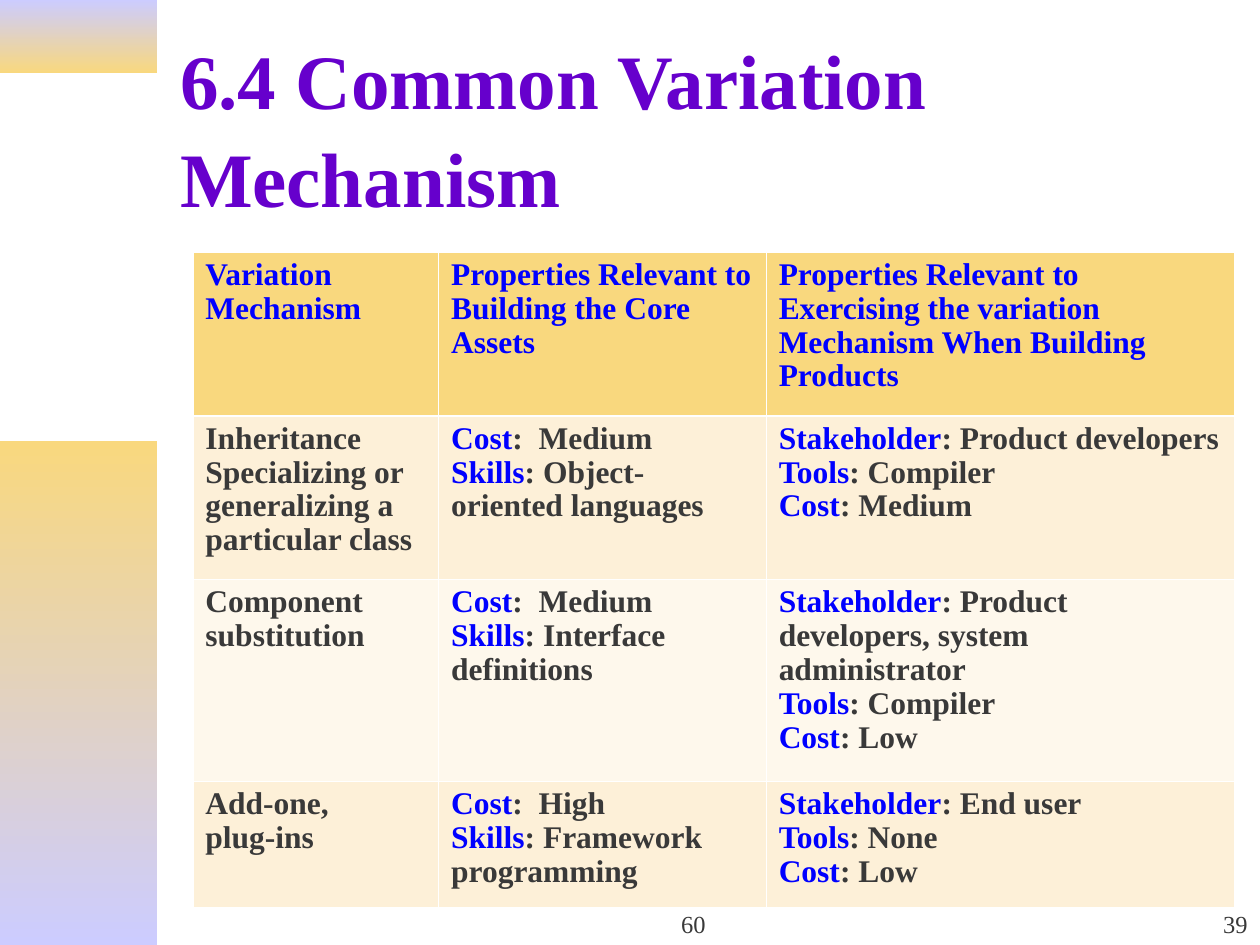
"""Build the slide on common variation mechanisms."""
from lxml import etree
from pptx import Presentation
from pptx.dml.color import RGBColor
from pptx.enum import shapes, text
from pptx.oxml import ns
from pptx.util import Pt

FONT = "Times New Roman"
PURPLE = RGBColor(0x66, 0x00, 0xCC)
BLUE = RGBColor(0x00, 0x00, 0xFF)
GRAY = RGBColor(0x39, 0x39, 0x39)
GOLD = RGBColor(0xF9, 0xD8, 0x7E)
LILAC = RGBColor(0xCC, 0xCC, 0xFF)
CREAM = RGBColor(0xFD, 0xF0, 0xD8)
PALE = RGBColor(0xFE, 0xF8, 0xEC)
WHITE = RGBColor(0xFF, 0xFF, 0xFF)

COLS = (140.4, 187.2, 267.8)
HEIGHTS = (93.6, 93.6, 115.2, 72)
FILLS = (GOLD, CREAM, PALE, CREAM)
ROWS = (
    ("Variation Mechanism",
     "Properties Relevant to Building the Core Assets",
     "Properties Relevant to Exercising the variation Mechanism "
     "When Building Products"),
    ("Inheritance\nSpecializing or generalizing a particular class",
     "Cost:  Medium\nSkills: Object-oriented languages",
     "Stakeholder: Product developers\nTools: Compiler\nCost: Medium"),
    ("Component substitution",
     "Cost:  Medium\nSkills: Interface definitions",
     "Stakeholder: Product developers, system administrator\n"
     "Tools: Compiler\nCost: Low"),
    ("Add-one,\nplug-ins",
     "Cost:  High\nSkills: Framework programming",
     "Stakeholder: End user\nTools: None\nCost: Low"),
)


def style(run, size, color, bold=False):
    """Set the font of a run."""
    font = run.font
    font.name, font.size, font.bold = FONT, Pt(size), bold
    font.color.rgb = color


def add_band(slide, top, height, first, last):
    """Add a side band that fades downwards."""
    band = slide.shapes.add_shape(
        shapes.MSO_SHAPE.RECTANGLE, 0, Pt(top), Pt(90), Pt(height))
    band.shadow.inherit = False
    band.line.fill.background()
    band.fill.gradient()
    band.fill.gradient_angle = 270
    for stop, color, place in zip(band.fill.gradient_stops, (first, last), (0, 1)):
        stop.color.rgb = color
        stop.position = place


def add_text(slide, words, area, size, color, align, anchor, bold=False):
    """Add a text box with one paragraph and return the paragraph."""
    frame = slide.shapes.add_textbox(*map(Pt, area)).text_frame
    frame.word_wrap = True
    frame.vertical_anchor = anchor
    frame.text = words
    para = frame.paragraphs[0]
    para.alignment = align
    style(para.runs[0], size, color, bold)
    return para


def set_edges(cell, foot, head):
    """Draw the white borders of a cell."""
    props = cell._tc.get_or_add_tcPr()
    for side, width in (("L", 0.45), ("R", 0.45), ("T", head), ("B", foot)):
        line = etree.SubElement(props, ns.qn(f"a:ln{side}"), w=str(Pt(width)))
        fill = etree.SubElement(line, ns.qn("a:solidFill"))
        etree.SubElement(fill, ns.qn("a:srgbClr"), val=str(WHITE))


def fill_cell(cell, words, color):
    """Write a cell, with any label before a colon in blue."""
    cell.text_frame.text = words
    for para in cell.text_frame.paragraphs:
        para.line_spacing = 0.97
        label, colon, rest = para.text.partition(":")
        if colon:
            para.text = label
            style(para.runs[0], 18, BLUE, True)
            run = para.add_run()
            run.text = colon + rest
            style(run, 18, GRAY, True)
        else:
            style(para.runs[0], 18, color, True)


def add_grid(slide):
    """Add the table of mechanisms."""
    grid = slide.shapes.add_table(
        len(ROWS), len(COLS), Pt(110.2), Pt(144),
        Pt(sum(COLS)), Pt(sum(HEIGHTS))).table
    for col, width in zip(grid.columns, COLS):
        col.width = Pt(width)
    for i, (row, height) in enumerate(zip(grid.rows, HEIGHTS)):
        row.height = Pt(height)
        for cell, words in zip(row.cells, ROWS[i]):
            set_edges(cell, 1.47 if i == 0 else 0.45, 1.47 if i == 1 else 0.45)
            cell.fill.solid()
            cell.fill.fore_color.rgb = FILLS[i]
            fill_cell(cell, words, GRAY if i else BLUE)


def main():
    """Build and save the slide."""
    deck = Presentation()
    deck.slide_width, deck.slide_height = Pt(720), Pt(540)
    slide = deck.slides.add_slide(deck.slide_layouts[6])
    add_band(slide, 0, 41.8, LILAC, GOLD)
    add_band(slide, 252, 288, GOLD, LILAC)
    align, anchor = text.PP_ALIGN, text.MSO_ANCHOR
    title = add_text(slide, "6.4 Common Variation Mechanism", (95.8, 23.8, 612, 95),
                     44, PURPLE, align.LEFT, anchor.MIDDLE, True)
    title.line_spacing = 1.06
    add_grid(slide)
    add_text(slide, "60", (282.2, 504, 228.2, 36), 14, GRAY,
             align.CENTER, anchor.BOTTOM)
    add_text(slide, "39", (570.2, 504, 149.8, 36), 14, GRAY,
             align.RIGHT, anchor.BOTTOM)
    deck.save("out.pptx")


if __name__ == "__main__":
    main()
